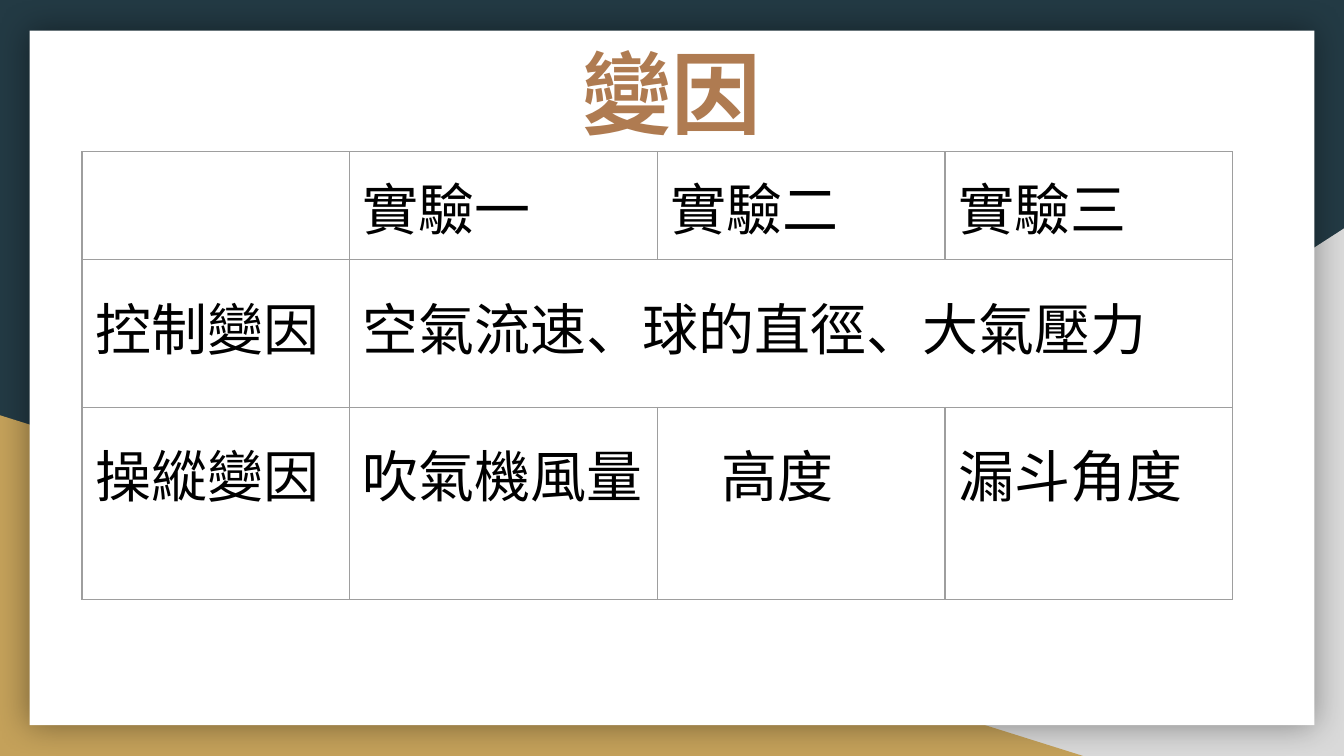
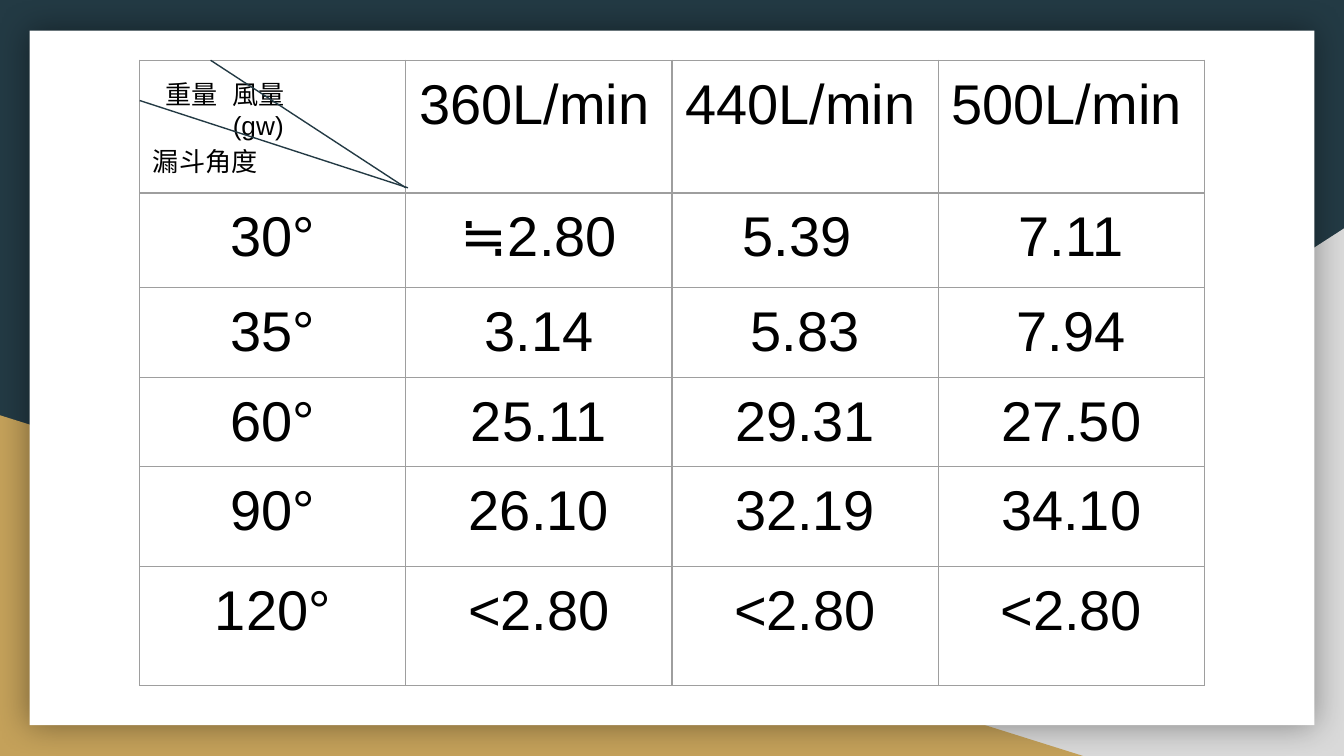
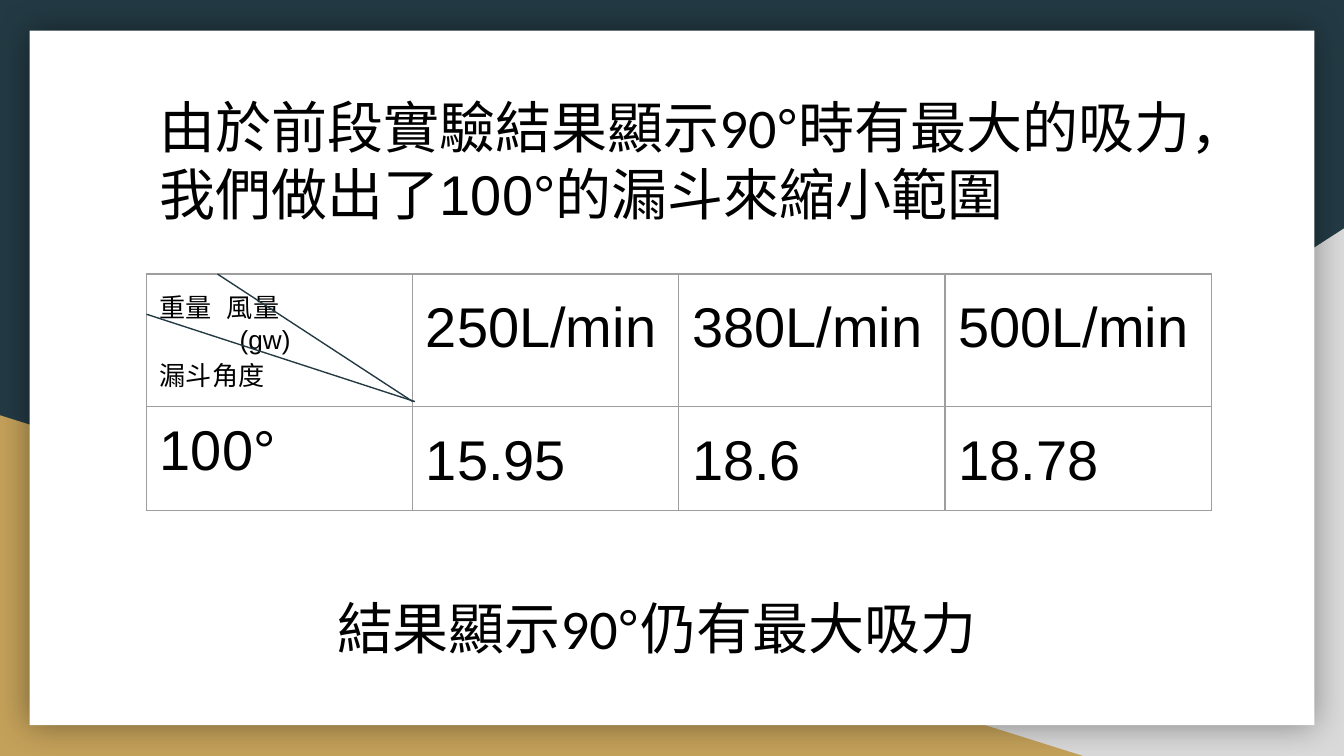
from lxml.etree import SubElement
from pptx import Presentation
from pptx.dml.color import RGBColor
from pptx.enum.shapes import MSO_CONNECTOR as Connector, MSO_SHAPE as Shape
from pptx.enum.text import MSO_ANCHOR as Anchor, MSO_AUTO_SIZE as AutoSize, PP_ALIGN as Align
from pptx.oxml import parse_xml
from pptx.oxml.ns import nsdecls, qn
from pptx.util import Cm, Pt

NAVY = RGBColor(0x23, 0x3A, 0x44)
GOLD = RGBColor(0xC4, 0xA1, 0x5A)
SILVER = RGBColor(0xD9, 0xD9, 0xD9)
WHITE = RGBColor(0xFF, 0xFF, 0xFF)
BLACK = RGBColor(0, 0, 0)
BRONZE = RGBColor(0xAF, 0x7B, 0x51)
RULE = RGBColor(0x9E, 0x9E, 0x9E)
INSET = Cm(0.25)


def add_span(para, text, size=30, font="Arial", color=BLACK, bold=False):
    span = para.add_run()
    span.text = text
    span.font.size = Pt(size)
    span.font.name = font
    span.font.color.rgb = color
    span.font.bold = bold


def add_grid(page, left, top, widths, heights):
    """Add an unfilled table with thin grey rules; sizes in centimetres."""
    grid = page.shapes.add_table(len(heights), len(widths), Cm(left), Cm(top),
                                 Cm(sum(widths)), Cm(sum(heights))).table
    grid.first_row = grid.horz_banding = False
    for column, width in zip(grid.columns, widths):
        column.width = Cm(width)
    for row, height in zip(grid.rows, heights):
        row.height = Cm(height)
    for cell in grid.iter_cells():
        cell.margin_left = cell.margin_right = INSET
        cell.margin_top = cell.margin_bottom = INSET
        properties = cell._tc.get_or_add_tcPr()
        for side in ("lnL", "lnR", "lnT", "lnB"):
            properties.append(parse_xml(
                f'<a:{side} {nsdecls("a")} w="{Pt(0.75)}"><a:solidFill>'
                f'<a:srgbClr val="{RULE}"/></a:solidFill></a:{side}>'))
        cell.fill.background()
    return grid


deck = Presentation()
deck.slide_width, deck.slide_height = Cm(25.4), Cm(14.29)
title_only, blank = deck.slide_layouts[5], deck.slide_layouts[6]
factors, angles, narrowed = [deck.slides.add_slide(layout)
                             for layout in (title_only, blank, blank)]

# Shared backdrop, moved to the master behind its placeholders
master = deck.slide_master
master.background.fill.solid()
master.background.fill.fore_color.rgb = NAVY
backdrop = [
    (Shape.RIGHT_TRIANGLE, 9.96, 4.32, 15.44, 9.97, SILVER),
    (Shape.RIGHT_TRIANGLE, 0, 7.85, 20.47, 6.44, GOLD),
    (Shape.RECTANGLE, 0.56, 0.58, 24.28, 13.13, WHITE),
]
for position, (kind, left, top, width, height, color) in enumerate(backdrop):
    panel = factors.shapes.add_shape(kind, Cm(left), Cm(top), Cm(width), Cm(height))
    panel.shadow.inherit = False
    panel.fill.solid()
    panel.fill.fore_color.rgb = color
    panel.line.fill.background()
    if color == SILVER:
        panel.element.spPr.xfrm.set("flipH", "1")
    if color == WHITE:
        effects = panel.element.spPr.find(qn("a:effectLst"))
        effects.append(parse_xml(
            f'<a:outerShdw {nsdecls("a")} blurRad="{Pt(18)}" dist="0" rotWithShape="0">'
            '<a:srgbClr val="000000"><a:alpha val="40000"/></a:srgbClr></a:outerShdw>'))
    master.shapes.element.insert(2 + position, panel.element)

# Slide 1: title and table of variables
title = factors.shapes.title
title.left, title.top, title.width, title.height = Cm(0.86), Cm(0.46), Cm(23.67), Cm(1.68)
frame = title.text_frame
frame.margin_left = frame.margin_right = frame.margin_top = frame.margin_bottom = INSET
frame.auto_size = AutoSize.NONE
frame.vertical_anchor = Anchor.TOP
frame.paragraphs[0].alignment = Align.CENTER
add_span(frame.paragraphs[0], "變因", 48, "League Spartan", BRONZE, True)

variables = [
    ["", "實驗一", "實驗二", "實驗三"],
    ["控制變因", "空氣流速、球的直徑、大氣壓力", "", ""],
    ["操縱變因", "吹氣機風量", "高度", "漏斗角度"],
]
grid = add_grid(factors, 1.55, 2.87, [5.05, 5.82, 5.44, 5.44], [2.04, 2.79, 3.63])
grid.cell(1, 1).merge(grid.cell(1, 3))
for r, texts in enumerate(variables):
    for c, text in enumerate(texts):
        if not text:
            continue
        para = grid.cell(r, c).text_frame.paragraphs[0]
        if r > 0:
            para.line_spacing, para.space_after = 1.15, Pt(16)
        if text == "高度":
            para._p.get_or_add_pPr().set("marL", str(Cm(0.97)))
        add_span(para, text, font="Roboto" if r else "Arial")

# Slide 2: weight by funnel angle and air flow
weights = [
    ["", "360L/min", "440L/min", "500L/min"],
    ["30°", "≒2.80", "5.39 ", "7.11"],
    ["35°", "3.14", "5.83", "7.94"],
    ["60°", "25.11", "29.31", "27.50"],
    ["90°", "26.10", "32.19", "34.10"],
    ["120°", "<2.80", "<2.80", "<2.80"],
]
angle_grid = add_grid(angles, 2.64, 1.14, [5.03] * 4, [2.51, 1.79, 1.7, 1.68, 1.89, 2.24])
for r, texts in enumerate(weights):
    for c, text in enumerate(texts):
        if text:
            para = angle_grid.cell(r, c).text_frame.paragraphs[0]
            if r > 0:
                para.alignment = Align.CENTER
            add_span(para, text)

# Slide 3: the 100° funnel, with remarks above and below
remarks = [
    (2.77, 1.5, 21.59, "由於前段實驗結果顯示90", "°時有最大的吸力，我們做出了100°的漏斗來縮小範圍"),
    (6.12, 10.97, 13.16, "結果顯示90", "°仍有最大吸力"),
]
for left, top, width, opening, ending in remarks:
    box = narrowed.shapes.add_textbox(Cm(left), Cm(top), Cm(width), Cm(1.52))
    frame = box.text_frame
    frame.word_wrap = True
    frame.margin_left = frame.margin_right = frame.margin_top = frame.margin_bottom = INSET
    add_span(frame.paragraphs[0], opening, font="Calibri")
    add_span(frame.paragraphs[0], ending)

narrow_grid = add_grid(narrowed, 2.77, 5.18, [5.03] * 4, [2.51, 1.85])
for r, texts in enumerate([["", "250L/min", "380L/min", "500L/min"],
                           ["100°", "15.95", "18.6", "18.78"]]):
    for c, text in enumerate(texts):
        if text:
            para = narrow_grid.cell(r, c).text_frame.paragraphs[0]
            if c > 0:
                para.line_spacing, para.space_after = 1.15, Pt(16)
            add_span(para, text)

# Split corner cell of both result tables
for page, grid, left, top, indent, tab in [(angles, angle_grid, 2.64, 1.14, 0.23, 2.32),
                                           (narrowed, narrow_grid, 2.77, 5.18, 0, 2.1)]:
    frame = grid.cell(0, 0).text_frame
    labels = [("重量\t風量", indent), ("(gw)", 1.51), ("漏斗角度", 0)]
    for number, (text, margin) in enumerate(labels):
        para = frame.add_paragraph() if number else frame.paragraphs[0]
        properties = para._p.get_or_add_pPr()
        properties.set("marL", str(Cm(margin)))
        properties.set("indent", "0")
        if "\t" in text:
            stops = SubElement(properties, qn("a:tabLst"))
            SubElement(stops, qn("a:tab"), pos=str(Cm(tab)), algn="l")
        add_span(para, text, 14)
    for start_x, start_y, end_x in [(0, 0.76, 5.07), (1.34, 0, 5.03)]:
        slant = page.shapes.add_connector(Connector.STRAIGHT, Cm(left + start_x), Cm(top + start_y),
                                          Cm(left + end_x), Cm(top + 2.41))
        slant.line.color.rgb = NAVY
        slant.line.width = Pt(0.75)
        SubElement(slant.element.spPr, qn("a:effectLst"))

deck.save("out.pptx")
